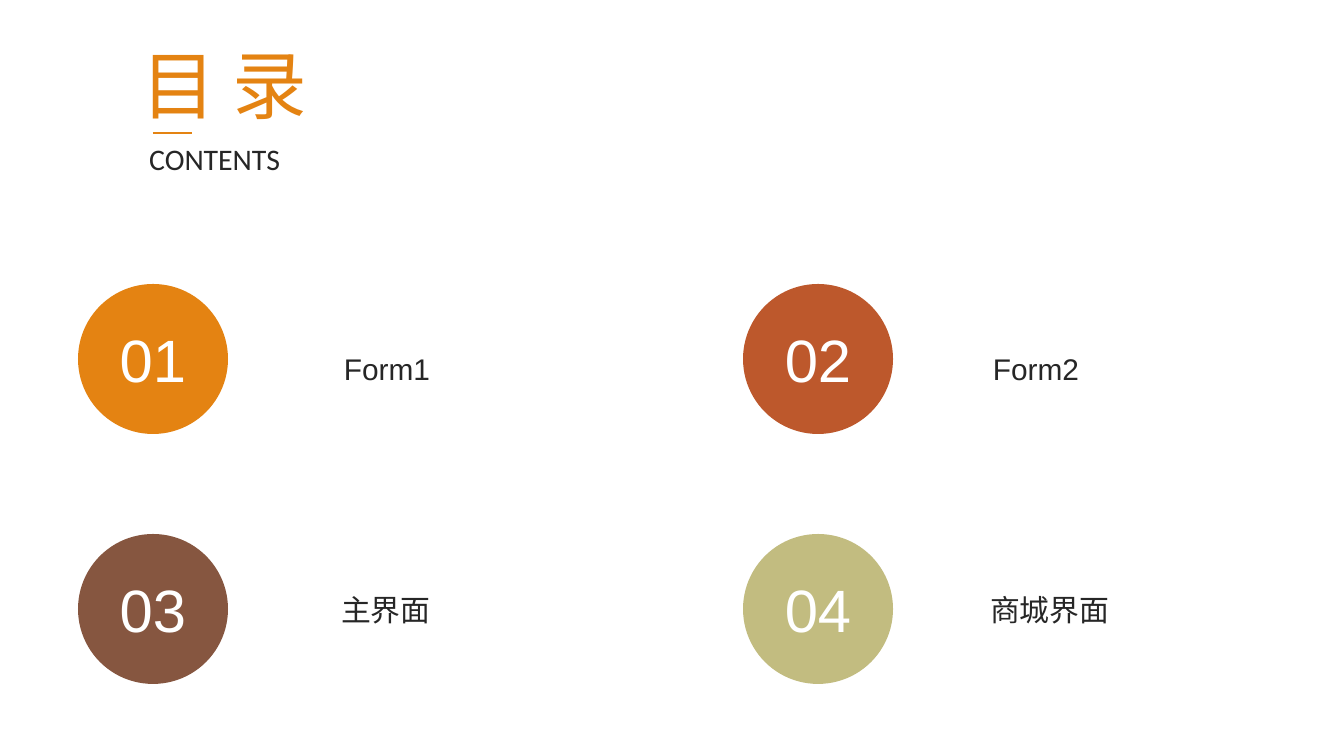
"""Build a contents slide with four numbered entries."""
from lxml.etree import SubElement
from pptx import Presentation
from pptx.dml.color import RGBColor
from pptx.enum.shapes import MSO_CONNECTOR, MSO_SHAPE
from pptx.enum.text import MSO_ANCHOR, MSO_AUTO_SIZE, PP_ALIGN
from pptx.oxml.ns import qn
from pptx.util import Pt

PX = 914400 / 134.4
ORANGE = RGBColor(0xE4, 0x83, 0x12)
RUST = RGBColor(0xBD, 0x58, 0x2C)
BROWN = RGBColor(0x86, 0x56, 0x40)
KHAKI = RGBColor(0xC2, 0xBC, 0x80)
DARK = RGBColor(0x26, 0x26, 0x26)
WHITE = RGBColor(0xFF, 0xFF, 0xFF)


def px(*lengths):
    return [round(n * PX) for n in lengths]


def write(sp, text, size=16, color=DARK, font="Arial", align=PP_ALIGN.LEFT,
          anchor=MSO_ANCHOR.TOP, wrap=False):
    tf = sp.text_frame
    tf.auto_size = MSO_AUTO_SIZE.NONE
    tf.word_wrap = wrap
    tf.vertical_anchor = anchor
    p = tf.paragraphs[0]
    p.alignment = align
    r = p.add_run()
    r.text = text
    r.font.size = Pt(size)
    r.font.name = font
    r.font.color.rgb = color


prs = Presentation()
prs.slide_width, prs.slide_height = px(1344, 756)
s = prs.slides.add_slide(prs.slide_layouts[5])

title = s.shapes.title
title.left, title.top, title.width, title.height = px(128, 32, 200, 103)
write(title, "目 录", size=40, color=ORANGE)

rule = s.shapes.add_connector(MSO_CONNECTOR.STRAIGHT, *px(153, 133, 192, 133))
rule.line.color.rgb = ORANGE
rule.line.width = Pt(1)
SubElement(rule._element.spPr, qn("a:effectLst"))

subtitle = s.shapes.add_textbox(*px(136, 134, 192, 50))
write(subtitle, "CONTENTS", font="Calibri")

entries = [
    ("Form1", ORANGE, 118, PP_ALIGN.CENTER),
    ("Form2", RUST, 118, PP_ALIGN.CENTER),
    ("主界面", BROWN, 117, PP_ALIGN.LEFT),
    ("商城界面", KHAKI, 146, PP_ALIGN.LEFT),
]
circle_x, label_x = (78, 743), (328, 977)
circle_y, label_y = (284, 534), (344, 585)

for i, (name, color, width, align) in enumerate(entries):
    row, col = divmod(i, 2)
    circle = s.shapes.add_shape(
        MSO_SHAPE.OVAL, *px(circle_x[col], circle_y[row], 150, 150))
    circle.shadow.inherit = False
    circle.fill.solid()
    circle.fill.fore_color.rgb = color
    circle.line.fill.background()
    write(circle, f"{i + 1:02}", size=32, color=WHITE, align=PP_ALIGN.CENTER,
          anchor=MSO_ANCHOR.MIDDLE, wrap=True)
    label = s.shapes.add_textbox(*px(label_x[col], label_y[row], width, 50))
    write(label, name, align=align)

prs.save("out.pptx")
